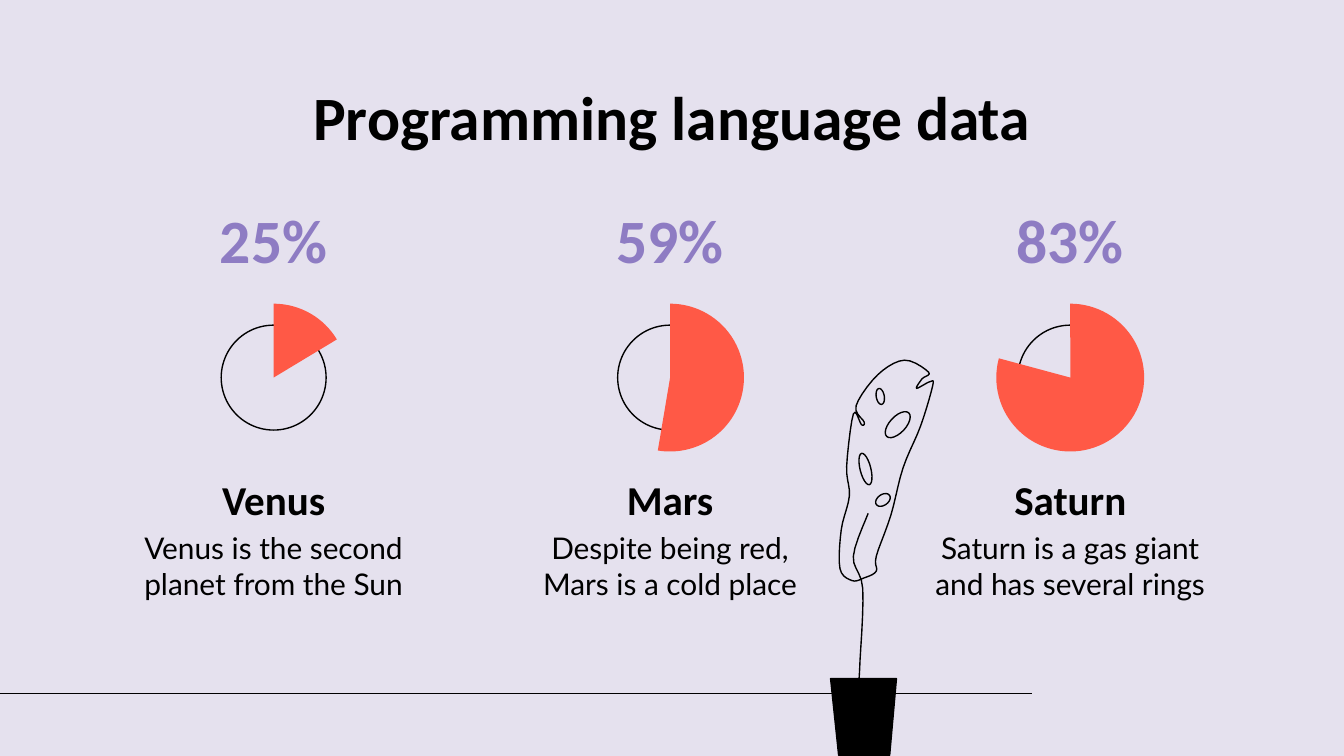
"""Build a slide with three planet percentages, pies and a potted plant."""
from math import cos, radians, sin

from lxml import etree
from pptx import Presentation
from pptx.dml.color import RGBColor
from pptx.enum.shapes import MSO_CONNECTOR, MSO_SHAPE
from pptx.enum.text import MSO_ANCHOR, PP_ALIGN
from pptx.oxml.ns import qn
from pptx.util import Pt

LINE = MSO_CONNECTOR.STRAIGHT
OVAL, PIE = MSO_SHAPE.OVAL, MSO_SHAPE.PIE
TOP, MIDDLE = MSO_ANCHOR.TOP, MSO_ANCHOR.MIDDLE
CENTER = PP_ALIGN.CENTER
BACK, BLACK, CORAL, VIOLET = "E5E1EE", "000000", "FF5946", "8E7CC3"
UNIT = Pt(0.72)
color = RGBColor.from_string

deck = Presentation()
deck.slide_width, deck.slide_height = Pt(720), Pt(405)
slide = deck.slides.add_slide(deck.slide_layouts[6])
slide.background.fill.solid()
slide.background.fill.fore_color.rgb = color(BACK)
shapes = slide.shapes


def paint(shape, fill, line):
    """Set fill and outline, where None means empty."""
    shape.shadow.inherit = False
    for part, tint in ((shape.fill, fill), (shape.line.fill, line)):
        if tint:
            part.solid()
            part.fore_color.rgb = color(tint)
        else:
            part.background()
    if line:
        shape.line.width = Pt(0.75)


def bend(dots, closed):
    """Run a smooth curve through the dots."""
    ends = (dots[-1:], dots[:2]) if closed else (dots[:1], dots[-1:])
    chain = ends[0] + dots + ends[1]
    steps = []
    for quad in zip(chain, chain[1:], chain[2:], chain[3:]):
        for t in (0, 0.2, 0.4, 0.6, 0.8, 1):
            steps.append(tuple(
                b + t * (c - a + t * (2 * a - 5 * b + 4 * c - d + t * (3 * b - 3 * c + d - a))) / 2
                for a, b, c, d in zip(*quad)
            ))
    return steps


ground = shapes.add_connector(LINE, 0, Pt(371.5), Pt(553), Pt(371.5))
ground.line.color.rgb = color(BLACK)
ground.line.width = Pt(0.75)
etree.SubElement(ground._element.spPr, qn("a:effectLst"))

STYLES = {
    "title": (dict(name="Calibri", size=Pt(33), bold=True), BLACK, TOP),
    "share": (dict(name="Calibri", size=Pt(33), bold=True), VIOLET, MIDDLE),
    "name": (dict(name="Calibri", size=Pt(22), bold=True), BLACK, TOP),
    "note": (dict(name="Lato", size=Pt(16), bold=False), BLACK, MIDDLE),
}
PLANETS = [
    (146.6, 328.92, "25%", "Venus", "Venus is the second planet from the Sun"),
    (359, 99.51, "59%", "Mars", "Despite being red, Mars is a cold place"),
    (573.4, 195.09, "83%", "Saturn", "Saturn is a gas giant and has several rings"),
]
texts = [("title", "Programming language data", 360, 35.3, 607.7, 45.4)]
for mid, end, share, name, note in PLANETS:
    texts += [
        ("share", share, mid, 111.6, 170.6, 32.4),
        ("name", name, mid, 247, 170.6, 36),
        ("note", note, mid, 283, 170.6, 40.3),
    ]
    for kind, size, fill, line in ((OVAL, 56.2, BACK, BLACK), (PIE, 79.2, CORAL, None)):
        disc = shapes.add_shape(kind, Pt(mid - size / 2), Pt(202.3 - size / 2), Pt(size), Pt(size))
        paint(disc, fill, line)
        if kind == PIE:
            disc.adjustments[0] = 270 * 0.6
            disc.adjustments[1] = end * 0.6

for style, words, mid, top, width, height in texts:
    looks, tint, anchor = STYLES[style]
    box = shapes.add_textbox(Pt(mid - width / 2), Pt(top), Pt(width), Pt(height))
    frame = box.text_frame
    margins = {f"margin_{side}": Pt(7.2) for side in ("left", "top", "right", "bottom")}
    for key, value in dict(word_wrap=True, vertical_anchor=anchor, **margins).items():
        setattr(frame, key, value)
    para = frame.paragraphs[0]
    para.alignment = CENTER
    run = para.add_run()
    run.text = words
    for key, value in looks.items():
        setattr(run.font, key, value)
    run.font.color.rgb = color(tint)

LEAF = [
    (673, 268), (653, 279), (637, 302), (643, 314), (641, 316), (635, 308),
    (630, 347), (632, 369), (626, 394), (625, 423), (634, 432), (643, 430),
    (652, 425), (652, 414), (663, 383), (672, 348), (685, 317), (694, 287),
    (692, 284), (682, 289), (686, 282), (691, 277),
]
HOLES = [(655, 295, 6, 3, 80), (668, 316, 12, 6, -47), (644, 349, 12, 4, 76), (657, 372, 6, 4, -35)]
STEM = [(630, 530), (638, 512), (640, 491), (642, 438), (635, 414), (646, 382)]
POT = [(618, 505), (624, 562), (662, 562), (667, 505)]

leaf = [bend(LEAF, True)]
for x, y, long, short, tilt in HOLES:
    turn = radians(tilt)
    ring = []
    for step in range(24):
        u, v = long * cos(radians(step * 15)), short * sin(radians(step * 15))
        ring.append((x + u * cos(turn) - v * sin(turn), y + u * sin(turn) + v * cos(turn)))
    leaf.append(ring)

plant = shapes.add_group_shape()
for outlines, closed, fill in (
    (leaf, True, BACK),
    ([bend(STEM, False)], False, None),
    ([POT], True, BLACK),
):
    pen = None
    for dots in outlines:
        spots = [(x * UNIT, y * UNIT) for x, y in dots]
        if pen:
            pen.move_to(*spots[0])
        else:
            pen = plant.shapes.build_freeform(*spots[0], scale=1.0)
        pen.add_line_segments(spots[1:], close=closed)
    paint(pen.convert_to_shape(), fill, BLACK)

deck.save("out.pptx")
